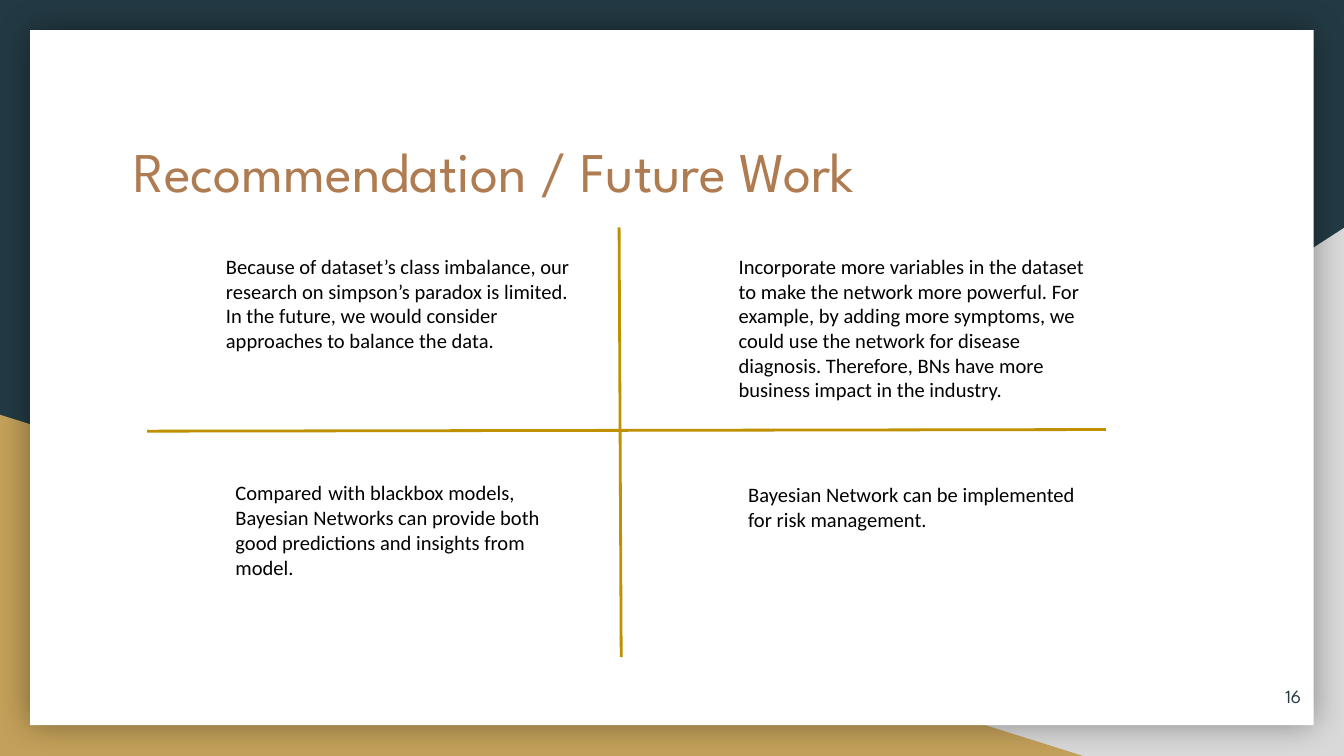
from lxml import etree
from pptx import Presentation
from pptx.dml.color import RGBColor
from pptx.enum import shapes, text
from pptx.oxml import ns
from pptx.util import Cm, Pt

NAVY = RGBColor(0x23, 0x3A, 0x44)
GREY = RGBColor(0xD9, 0xD9, 0xD9)
SAND = RGBColor(0xC4, 0xA1, 0x5A)
WHITE = RGBColor(0xFF, 0xFF, 0xFF)
BLACK = RGBColor(0x00, 0x00, 0x00)
COPPER = RGBColor(0xAF, 0x7B, 0x51)
GOLD = RGBColor(0xBF, 0x90, 0x00)
TRIANGLE = shapes.MSO_SHAPE.RIGHT_TRIANGLE
RECTANGLE = shapes.MSO_SHAPE.RECTANGLE


class Deck:
    heading_font = "League Spartan"
    body_font = "Calibri"
    body_size = 11
    inset = Cm(0.25)

    def __init__(self, width, height):
        self.prs = Presentation()
        self.prs.slide_width, self.prs.slide_height = Cm(width), Cm(height)

    def new_slide(self, background):
        self.slide = self.prs.slides.add_slide(self.prs.slide_layouts[5])
        fill = self.slide.background.fill
        fill.solid()
        fill.fore_color.rgb = background

    def panel(self, kind, box, color):
        panel = self.slide.shapes.add_shape(kind, *map(Cm, box))
        panel.shadow.inherit = False
        panel.fill.solid()
        panel.fill.fore_color.rgb = color
        panel.line.fill.background()
        return panel

    def flip(self, panel):
        panel._element.spPr.find(ns.qn("a:xfrm")).set("flipH", "1")

    def glow_shadow(self, panel, blur, opacity):
        effects = panel._element.spPr.find(ns.qn("a:effectLst"))
        shadow = etree.SubElement(effects, ns.qn("a:outerShdw"),
                                  blurRad=str(Pt(blur)), algn="ctr", rotWithShape="0")
        color = etree.SubElement(shadow, ns.qn("a:srgbClr"), val=str(BLACK))
        etree.SubElement(color, ns.qn("a:alpha"), val=str(opacity * 1000))

    def format_frame(self, frame, anchor):
        frame.word_wrap = True
        frame.auto_size = text.MSO_AUTO_SIZE.NONE
        frame.vertical_anchor = anchor
        frame.margin_left = frame.margin_right = self.inset
        frame.margin_top = frame.margin_bottom = self.inset

    def format_paragraph(self, paragraph, font, size, color, align):
        paragraph.alignment = align
        paragraph.font.name = font
        paragraph.font.size = Pt(size)
        paragraph.font.color.rgb = color

    def title(self, words, box):
        title = self.slide.shapes.title
        title.left, title.top, title.width, title.height = map(Cm, box)
        title.text_frame.text = words
        self.format_frame(title.text_frame, text.MSO_ANCHOR.TOP)
        self.format_paragraph(title.text_frame.paragraphs[0], self.heading_font,
                              30, COPPER, text.PP_ALIGN.LEFT)
        self.slide.shapes._spTree.append(title._element)

    def rule(self, start, end):
        rule = self.slide.shapes.add_connector(
            shapes.MSO_CONNECTOR.STRAIGHT, *map(Cm, start + end))
        rule.line.color.rgb = GOLD
        rule.line.width = Pt(1.5)
        etree.SubElement(rule._element.spPr, ns.qn("a:effectLst"))

    def note(self, runs, box):
        frame = self.slide.shapes.add_textbox(*map(Cm, box)).text_frame
        self.format_frame(frame, text.MSO_ANCHOR.TOP)
        paragraph = frame.paragraphs[0]
        self.format_paragraph(paragraph, self.body_font, self.body_size, BLACK,
                              text.PP_ALIGN.LEFT)
        for words, size in runs:
            run = paragraph.add_run()
            run.text = words
            if size != self.body_size:
                run.font.size = Pt(size)

    def page_number(self, number, box):
        frame = self.slide.shapes.add_textbox(*map(Cm, box)).text_frame
        frame.text = str(number)
        self.format_frame(frame, text.MSO_ANCHOR.MIDDLE)
        self.format_paragraph(frame.paragraphs[0], self.heading_font, 10, NAVY,
                              text.PP_ALIGN.RIGHT)


def main():
    deck = Deck(25.4, 14.29)
    deck.new_slide(NAVY)

    deck.flip(deck.panel(TRIANGLE, (9.96, 4.31, 15.44, 9.98), GREY))
    deck.panel(TRIANGLE, (0, 7.84, 20.47, 6.45), SAND)
    page = deck.panel(RECTANGLE, (0.57, 0.57, 24.26, 13.14), WHITE)
    deck.glow_shadow(page, blur=18, opacity=40)

    deck.title("Recommendation / Future Work", (2.27, 2.34, 20.85, 2.64))
    deck.rule((2.78, 8.15), (20.9, 8.12))
    deck.rule((11.7, 4.3), (11.74, 12.42))

    size = deck.body_size
    imbalance = [("Because of dataset’s class imbalance, our research on simpson’s "
                  "paradox is limited. In the future, we would consider approaches "
                  "to balance the data.", size)]
    variables = [("Incorporate more variables in the dataset to make the network more "
                  "powerful. For example, by adding more symptoms, we could use the "
                  "network for disease diagnosis. Therefore, BNs have more business "
                  "impact in the industry.", size)]
    risk = [("Bayesian Network can be implemented for risk management.", size)]
    insight = [("Compared", size), (" ", 14),
               ("with blackbox models, Bayesian Networks can provide both good "
                "predictions and insights from model.", size)]
    deck.note(imbalance, (4.02, 4.55, 7.21, 2.39))
    deck.note(variables, (13.71, 4.55, 7.11, 3.33))
    deck.note(risk, (13.89, 8.86, 7.11, 1.45))
    deck.note(insight, (4.2, 8.71, 7.11, 2.51))

    deck.page_number(16, (23.32, 12.62, 1.52, 1.09))
    deck.prs.save("out.pptx")


if __name__ == "__main__":
    main()
